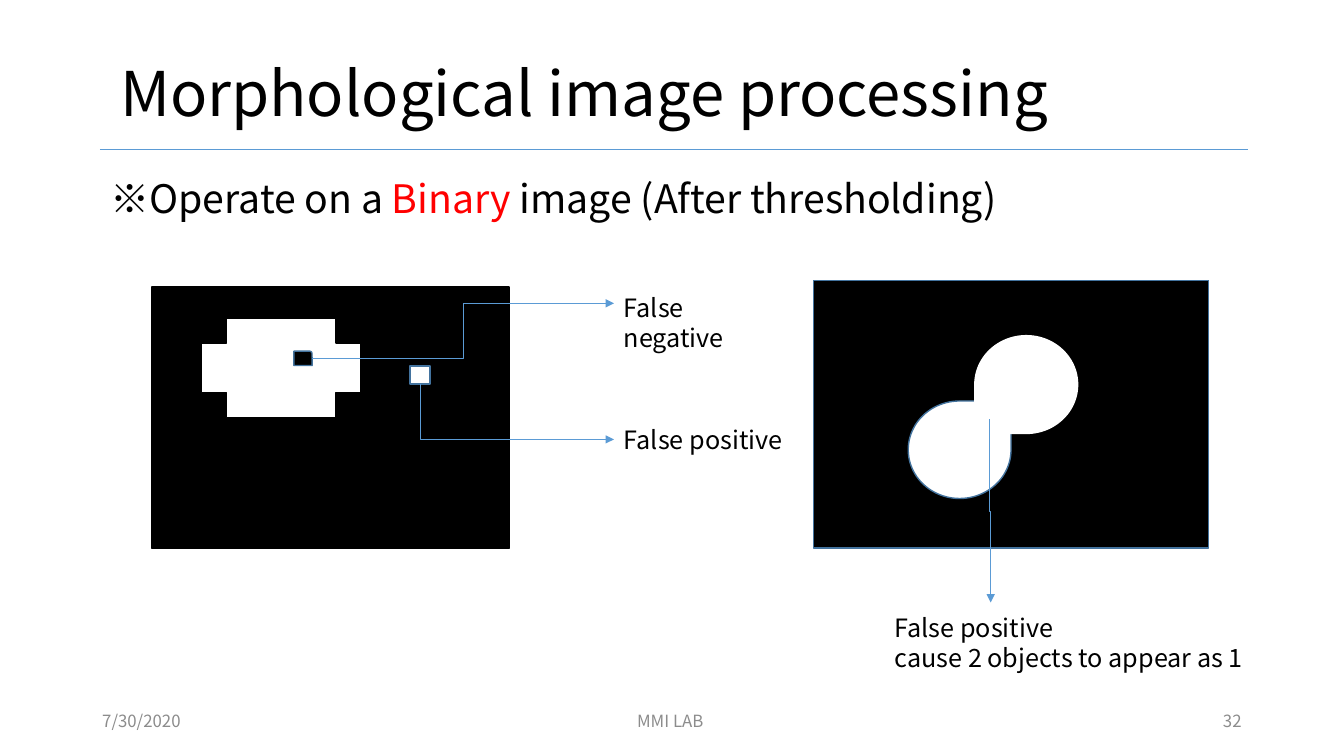
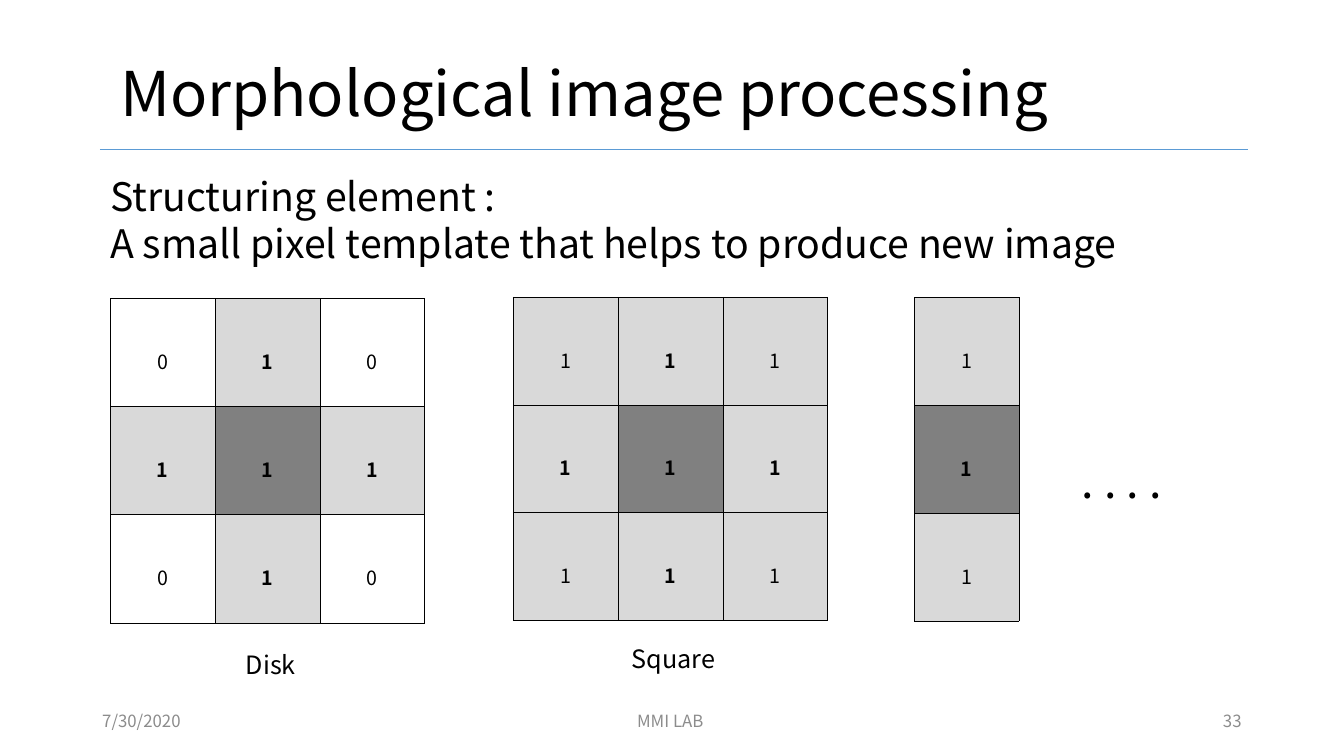
"""Build two slides on morphological image processing."""
import pptx
import pptx.dml.color
import pptx.enum.shapes
import pptx.enum.text
import pptx.oxml
import pptx.oxml.ns
import pptx.util

COLORS = {
    "black": "000000", "white": "FFFFFF", "red": "FF0000", "muted": "8C8C8C",
    "arrow": "5B9BD5", "outline": "43739E", "light": "D9D9D9", "dark": "808080",
}
RGB = {name: pptx.dml.color.RGBColor.from_string(value) for name, value in COLORS.items()}
FONT = "Noto Sans CJK KR"
SHAPE = pptx.enum.shapes.MSO_SHAPE
CONNECTOR = pptx.enum.shapes.MSO_CONNECTOR
ALIGN = pptx.enum.text.PP_ALIGN
ANCHOR = pptx.enum.text.MSO_ANCHOR
Pt = pptx.util.Pt

presentation = pptx.Presentation()
presentation.slide_width = pptx.util.Inches(13.33)
presentation.slide_height = pptx.util.Inches(7.5)


def area(*percents):
    """Turn alternating x and y percentages of the slide into lengths."""
    sides = (presentation.slide_width, presentation.slide_height)
    return [int(sides[i % 2] * percent / 100) for i, percent in enumerate(percents)]


def add_text(slide, box, lines, size, color="black", align=ALIGN.LEFT, anchor=ANCHOR.TOP):
    """Add a text box with one paragraph for each line."""
    shape = slide.shapes.add_textbox(*area(*box))
    frame = shape.text_frame
    frame.word_wrap = True
    frame.vertical_anchor = anchor
    frame.text = "\n".join(lines)
    for paragraph in frame.paragraphs:
        paragraph.alignment = align
        paragraph.line_spacing = Pt(size * 1.2)
        paragraph.font.size = Pt(size)
        paragraph.font.name = FONT
        paragraph.font.color.rgb = RGB[color]
    return shape


slides = []
for number in ("32", "33"):
    slide = presentation.slides.add_slide(presentation.slide_layouts[5])
    slides.append(slide)
    title = slide.shapes.title
    title.left, title.top, title.width, title.height = area(8.18, 3.07, 86.25, 19.33)
    title.text_frame.text = "Morphological image processing"
    title.text_frame.auto_size = pptx.enum.text.MSO_AUTO_SIZE.NONE
    title.text_frame.vertical_anchor = ANCHOR.MIDDLE
    paragraph = title.text_frame.paragraphs[0]
    paragraph.alignment = ALIGN.LEFT
    paragraph.line_spacing = 0.9
    paragraph.font.size = Pt(44)
    paragraph.font.name = FONT
    paragraph.font.color.rgb = RGB["black"]

    rule = slide.shapes.add_connector(CONNECTOR.STRAIGHT, *area(7.43, 19.73, 92.85, 19.73))
    rule.line.color.rgb = RGB["arrow"]
    rule.line.width = Pt(0.5)
    rule._element.spPr.append(pptx.oxml.parse_xml(f"<a:effectLst {pptx.oxml.ns.nsdecls('a')}/>"))

    for left, width, text, align in (
        (6.87, 22.5, "7/30/2020", ALIGN.LEFT),
        (33, 33.75, "MMI LAB", ALIGN.CENTER),
        (70.62, 22.5, number, ALIGN.RIGHT),
    ):
        add_text(slide, (left, 92.67, width, 5.33), [text], 12, "muted", align, ANCHOR.MIDDLE)

errors, elements = slides

statement = add_text(errors, (7.47, 22.4, 67.73, 7.6), ["※Operate on a "], 28)
paragraph = statement.text_frame.paragraphs[0]
for text, color in (("Binary", "red"), (" image (After thresholding)", "black")):
    run = paragraph.add_run()
    run.text = text
    run.font.color.rgb = RGB[color]

drawn = {}
for key, preset, box, fill, line, rotation in (
    ("left panel", SHAPE.RECTANGLE, (11.3, 37.95, 26.58, 34.58), "black", "black", 0),
    ("object", SHAPE.CROSS, (15, 42.13, 11.85, 13.07), "white", "black", 0),
    ("hole", SHAPE.ROUND_1_RECTANGLE, (21.87, 46.45, 1.35, 1.9), "black", "outline", 0),
    ("speck", SHAPE.RECTANGLE, (30.5, 48.4, 1.5, 2.4), "white", "outline", 0),
    ("right panel", SHAPE.RECTANGLE, (60.53, 37.07, 29.4, 35.4), "black", "outline", 0),
    ("lower drop", SHAPE.TEAR, (67.58, 53.04, 7.65, 12.9), "white", "outline", 0),
    ("upper drop", SHAPE.TEAR, (72.53, 44.4, 7.65, 12.93), "white", "white", 180),
):
    shape = errors.shapes.add_shape(preset, *area(*box))
    shape.shadow.inherit = False
    shape.rotation = rotation
    shape.fill.solid()
    shape.fill.fore_color.rgb = RGB[fill]
    shape.line.color.rgb = RGB[line]
    shape.line.width = Pt(1)
    drawn[key] = shape

add_text(errors, (45.68, 38, 13.73, 5.33), ["False negative"], 18)
positive = add_text(errors, (45.68, 55.47, 13.73, 5.33), ["False positive"], 18)
add_text(errors, (65.83, 80.33, 32.1, 9.47),
         ["False positive", "cause 2 objects to appear as 1"], 18)

arrows = []
for ends, preset, arrowhead, degrees in (
    ((23.22, 47.4, 45.68, 40.13), "bentConnector3", "tailEnd", 0),
    ((45.68, 58.13, 31.25, 50.8), "bentConnector2", "headEnd", 0),
    ((80.48, 67.5, 66.85, 67.65), "bentConnector3", "tailEnd", 270),
):
    arrow = errors.shapes.add_connector(CONNECTOR.ELBOW, *area(*ends))
    arrow.line.color.rgb = RGB["arrow"]
    arrow.line.width = Pt(0.5)
    properties = arrow._element.spPr
    properties.find(pptx.oxml.ns.qn("a:xfrm")).set("rot", str(degrees * 60000))
    properties.find(pptx.oxml.ns.qn("a:prstGeom")).set("prst", preset)
    arrow.line._get_or_add_ln().append(pptx.oxml.parse_xml(
        f'<a:{arrowhead} {pptx.oxml.ns.nsdecls("a")} type="triangle"/>'))
    properties.append(pptx.oxml.parse_xml(f"<a:effectLst {pptx.oxml.ns.nsdecls('a')}/>"))
    arrows.append(arrow)
arrows[0].begin_connect(drawn["hole"], 3)
arrows[1].begin_connect(positive, 1)
arrows[1].end_connect(drawn["speck"], 2)

add_text(elements, (7.47, 22.13, 89.55, 13.87),
         ["Structuring element :", "A small pixel template that helps to produce new image"], 28)

COLUMN = 7.8
for left, top, row_height, rows in (
    (8.2, 39.47, 14.3, ("010", "111", "010")),
    (38.18, 39.3, 14.25, ("111", "111", "111")),
    (68.03, 39.33, 14.27, ("1", "1", "1")),
):
    count = len(rows[0])
    box = area(left, top, COLUMN * count, row_height * len(rows))
    table = elements.shapes.add_table(len(rows), count, *box).table
    for r, values in enumerate(rows):
        for c, value in enumerate(values):
            cell = table.cell(r, c)
            center = (r, c) == (1, count // 2)
            fill = "dark" if center else "light" if value == "1" else "white"
            cell.fill.solid()
            cell.fill.fore_color.rgb = RGB[fill]
            cell.vertical_anchor = ANCHOR.MIDDLE
            cell.margin_left = cell.margin_right = pptx.util.Inches(0.07)
            cell.margin_top = cell.margin_bottom = pptx.util.Inches(0.02)
            cell.text = value
            paragraph = cell.text_frame.paragraphs[0]
            paragraph.alignment = ALIGN.CENTER
            paragraph.line_spacing = 1.6
            paragraph.font.size = Pt(14)
            paragraph.font.name = FONT
            paragraph.font.bold = 1 in (r, c)
            paragraph.font.color.rgb = RGB["black"]
            for i, side in enumerate("LRTB"):
                cell._tc.get_or_add_tcPr().insert(i, pptx.oxml.parse_xml(
                    f'<a:ln{side} {pptx.oxml.ns.nsdecls("a")} w="{Pt(0.28)}"><a:solidFill>'
                    f'<a:srgbClr val="{COLORS["black"]}"/></a:solidFill></a:ln{side}>'))

add_text(elements, (79.75, 59.33, 13.13, 8.53), [". . . ."], 32)
add_text(elements, (17.55, 85.2, 5.78, 5.33), ["Disk"], 18)
add_text(elements, (46.25, 84.45, 7.8, 5.33), ["Square"], 18)

presentation.save("out.pptx")
